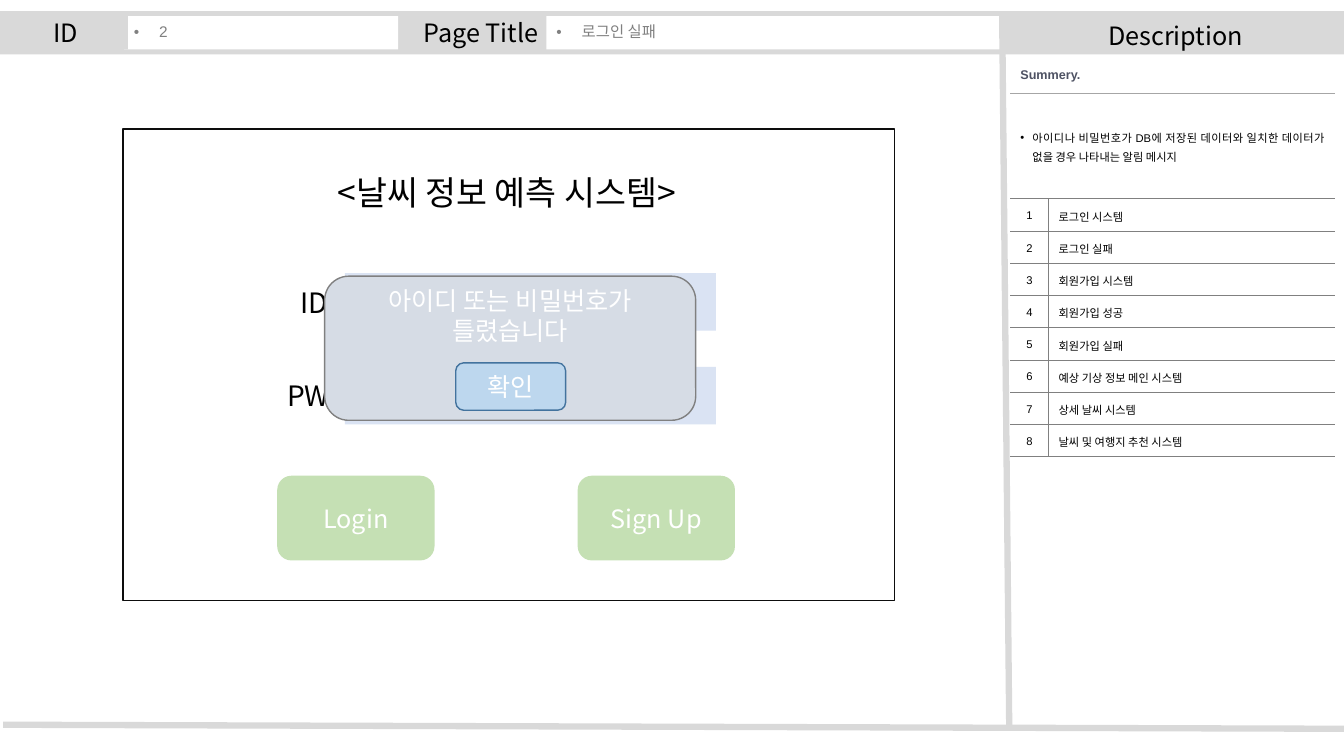
from dataclasses import dataclass

from lxml.etree import SubElement
from pptx import Presentation
from pptx.dml.color import RGBColor
from pptx.enum.shapes import MSO_CONNECTOR, MSO_SHAPE
from pptx.enum.text import MSO_ANCHOR, MSO_AUTO_SIZE, PP_ALIGN
from pptx.oxml.ns import qn
from pptx.util import Pt

SCALE = 9144


@dataclass(frozen=True)
class Theme:
    sans: str = "Arial"
    hangul: str = "Noto Sans CJK KR"
    black: str = "000000"
    white: str = "FFFFFF"
    bar: str = "D9D9D9"
    gray: str = "808080"
    rule: str = "A6A6A6"
    slate: str = "4E5263"
    frame: str = "0D0D0D"
    field: str = "DAE3F3"
    green: str = "C5E0B4"
    panel: str = "D6DCE5"
    sky: str = "BDD7EE"
    edge: str = "43739E"
    title: int = 24
    label: int = 20
    head: int = 18
    value: int = 11
    strong: int = 9
    small: int = 8


def px(count):
    return count * SCALE


def write(frame, text, size, color, font, align=None, bold=False,
          bullet=0, spacing=None, before=None):
    for index, line in enumerate(text.split("\n")):
        para = frame.add_paragraph() if index else frame.paragraphs[0]
        para.alignment = align
        if spacing:
            para.line_spacing = spacing
        if before:
            para.space_before = Pt(before)
        if bullet:
            props = para._p.get_or_add_pPr()
            props.set("marL", str(px(bullet)))
            props.set("indent", str(px(-bullet)))
            SubElement(props, qn("a:buFont"), typeface="Arial")
            SubElement(props, qn("a:buChar"), char="•")
        run = para.add_run()
        run.text = line
        run.font.size = Pt(size)
        run.font.bold = bold
        run.font.color.rgb = RGBColor.from_string(color)
        run.font.name = font
        SubElement(run._r.get_or_add_rPr(), qn("a:ea"), typeface=Theme.hangul)


class Page:
    def __init__(self, slide, theme):
        self.slide = slide
        self.theme = theme

    def box(self, x, y, w, h, fill=None, line=None, text="", round=False,
            anchor=MSO_ANCHOR.MIDDLE, inset=5, **style):
        kind = MSO_SHAPE.ROUNDED_RECTANGLE if round else MSO_SHAPE.RECTANGLE
        shape = self.slide.shapes.add_shape(kind, px(x), px(y), px(w), px(h))
        shape.shadow.inherit = False
        if fill:
            shape.fill.solid()
            shape.fill.fore_color.rgb = RGBColor.from_string(fill)
        else:
            shape.fill.background()
        if line:
            shape.line.color.rgb = RGBColor.from_string(line)
            shape.line.width = Pt(1)
        else:
            shape.line.fill.background()
        if text:
            frame = shape.text_frame
            frame.word_wrap = True
            frame.vertical_anchor = anchor
            frame.margin_top = px(inset)
            look = dict(size=self.theme.head, color=self.theme.white,
                        font=self.theme.hangul, align=PP_ALIGN.CENTER)
            write(frame, text, **(look | style))

    def value(self, x, w, text):
        self.box(x, 16, w, 33, self.theme.white, text=text,
                 size=self.theme.value, color=self.theme.gray,
                 font=self.theme.sans, align=PP_ALIGN.LEFT,
                 bullet=25, spacing=0.9, before=10)

    def label(self, x, y, w, h, text, size):
        frame = self.slide.shapes.add_textbox(
            px(x), px(y), px(w), px(h)).text_frame
        frame.word_wrap = False
        frame.auto_size = MSO_AUTO_SIZE.SHAPE_TO_FIT_TEXT
        write(frame, text, size, self.theme.black, self.theme.hangul)

    def line(self, x1, y1, x2, y2):
        line = self.slide.shapes.add_connector(
            MSO_CONNECTOR.STRAIGHT, px(x1), px(y1), px(x2), px(y2))
        line.line.color.rgb = RGBColor.from_string(self.theme.bar)
        line.line.width = Pt(4.5)
        SubElement(line._element.spPr, qn("a:effectLst"))

    def borders(self, cell, **sides):
        props = cell._tc.get_or_add_tcPr()
        for side in "LRTB":
            color = sides.get(side)
            edge = SubElement(props, qn(f"a:ln{side}"), w=str(Pt(0.25)))
            if color:
                fill = SubElement(edge, qn("a:solidFill"))
                SubElement(fill, qn("a:srgbClr"), val=color)
            else:
                SubElement(edge, qn("a:noFill"))

    def table(self, x, y, cols, rows, head, note, items):
        theme = self.theme
        table = self.slide.shapes.add_table(
            len(rows), len(cols), px(x), px(y),
            px(sum(cols)), px(sum(rows))).table
        table.first_row = table.horz_banding = False
        for col, width in zip(table.columns, cols):
            col.width = px(width)
        for row, height in zip(table.rows, rows):
            row.height = px(height)
        for r in range(len(rows)):
            top = (None, theme.rule)[r] if r < 2 else theme.gray
            base = theme.gray if r else theme.rule
            split = theme.gray if r > 1 else None
            for c in range(len(cols)):
                cell = table.cell(r, c)
                side = {"L" if c else "R": split}
                self.borders(cell, T=top, B=base, **side)
                cell.vertical_anchor = MSO_ANCHOR.MIDDLE
                if r:
                    cell.fill.background()
                else:
                    cell.fill.solid()
                    cell.fill.fore_color.rgb = RGBColor.from_string(theme.white)
        for r in range(2):
            table.cell(r, 0).merge(table.cell(r, 1))
        write(table.cell(0, 0).text_frame, head, theme.strong,
              theme.slate, theme.sans, bold=True)
        look = dict(size=theme.small, color=theme.black,
                    font=theme.sans, spacing=1.2)
        write(table.cell(1, 0).text_frame, note, bullet=12,
              align=PP_ALIGN.JUSTIFY, **look)
        for n, item in enumerate(items, 1):
            write(table.cell(n + 1, 0).text_frame, str(n),
                  align=PP_ALIGN.CENTER, **look)
            write(table.cell(n + 1, 1).text_frame, item,
                  align=PP_ALIGN.JUSTIFY, **look)


def main():
    deck = Presentation()
    deck.slide_width, deck.slide_height = px(1333), px(750)
    theme = Theme()
    page = Page(deck.slides.add_slide(deck.slide_layouts[6]), theme)

    page.box(0, 11, 1333, 43, theme.bar)
    page.box(394, 16, 166, 33, theme.bar, text="Page Title", color=theme.black)
    page.value(123, 272, "2")
    page.box(3, 16, 124, 33, theme.bar, text="ID", color=theme.black)
    page.value(542, 452, "로그인 실패")
    page.line(994, 16, 1001, 723)
    page.line(3, 719, 1333, 723)
    page.box(998, 19, 336, 33, theme.bar, text="Description", color=theme.black)

    page.box(122, 128, 765, 468, line=theme.frame)
    for y, x, w, name in ((271, 288, 48, "ID"), (364, 275, 64, "PW")):
        page.box(342, y, 368, 57, theme.field)
        page.label(x, y + 7, w, 44, name, theme.label)
    for x, name in ((275, "Login"), (573, "Sign Up")):
        page.box(x, 472, 156, 84, theme.green, text=name, round=True)
    page.box(322, 274, 368, 143, theme.panel, theme.gray,
             "아이디 또는 비밀번호가\n틀렸습니다", round=True,
             anchor=MSO_ANCHOR.TOP, inset=2)
    page.box(452, 360, 109, 47, theme.sky, theme.edge, "확인", round=True)
    page.label(325, 166, 406, 50, "<날씨 정보 예측 시스템>", theme.title)

    items = ("로그인 시스템", "로그인 실패", "회원가입 시스템", "회원가입 성공",
             "회원가입 실패", "예상 기상 정보 메인 시스템", "상세 날씨 시스템",
             "날씨 및 여행지 추천 시스템")
    page.table(1002, 58, (38, 284), (34, 105) + (32,) * len(items), "Summery.",
               "아이디나 비밀번호가 DB에 저장된 데이터와 일치한 데이터가 "
               "없을 경우 나타내는 알림 메시지", items)
    deck.save("out.pptx")


if __name__ == "__main__":
    main()
